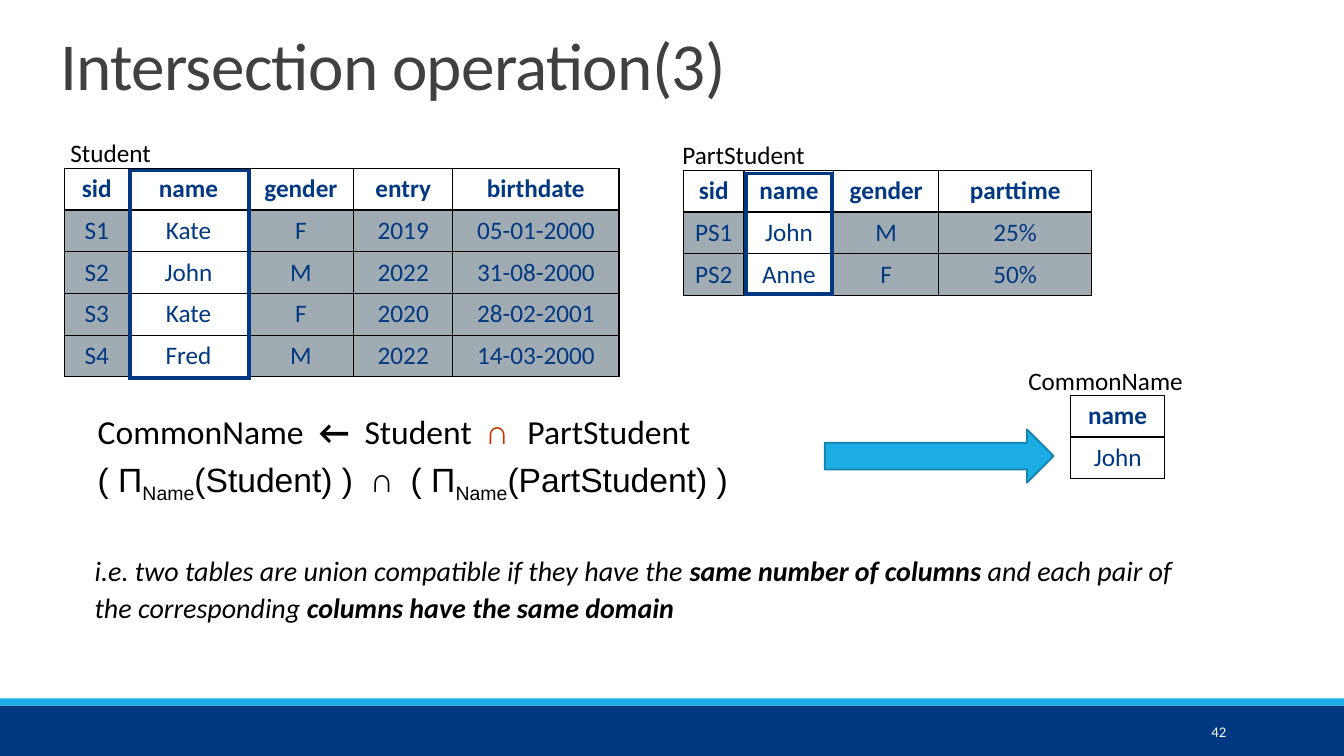
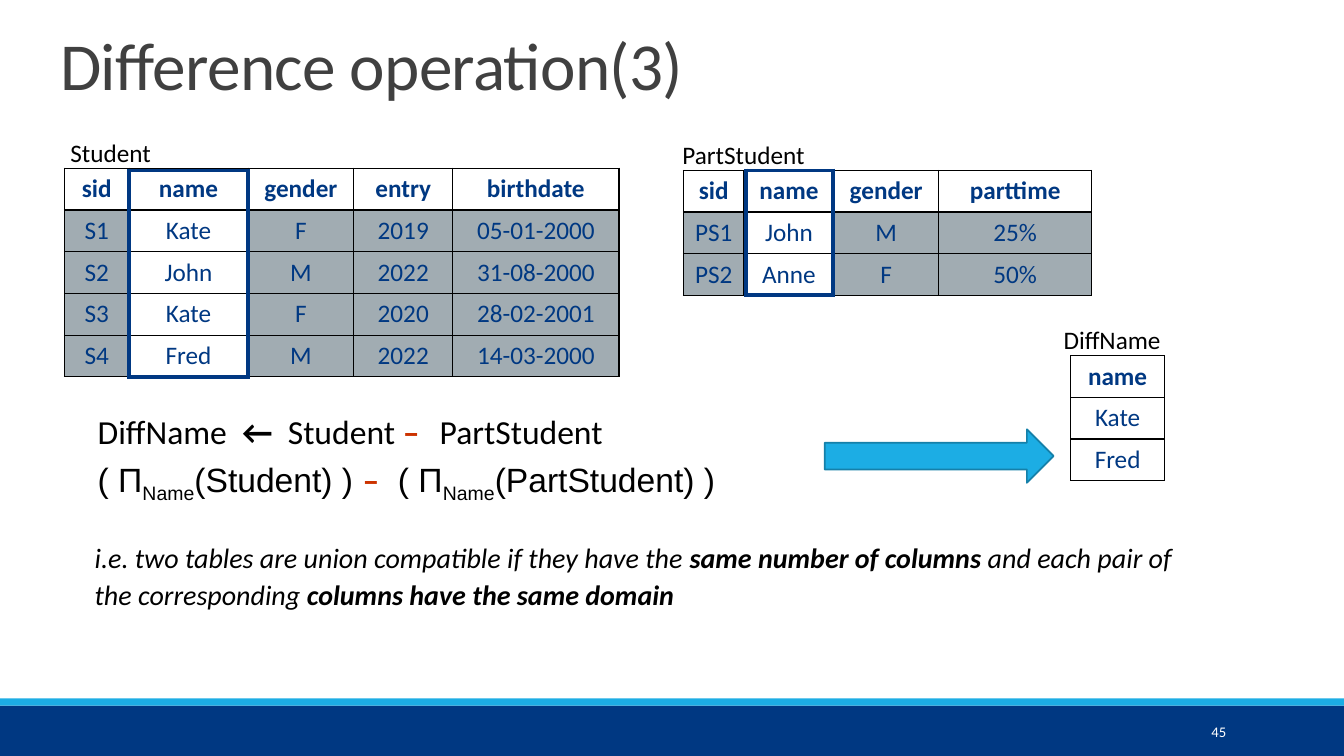
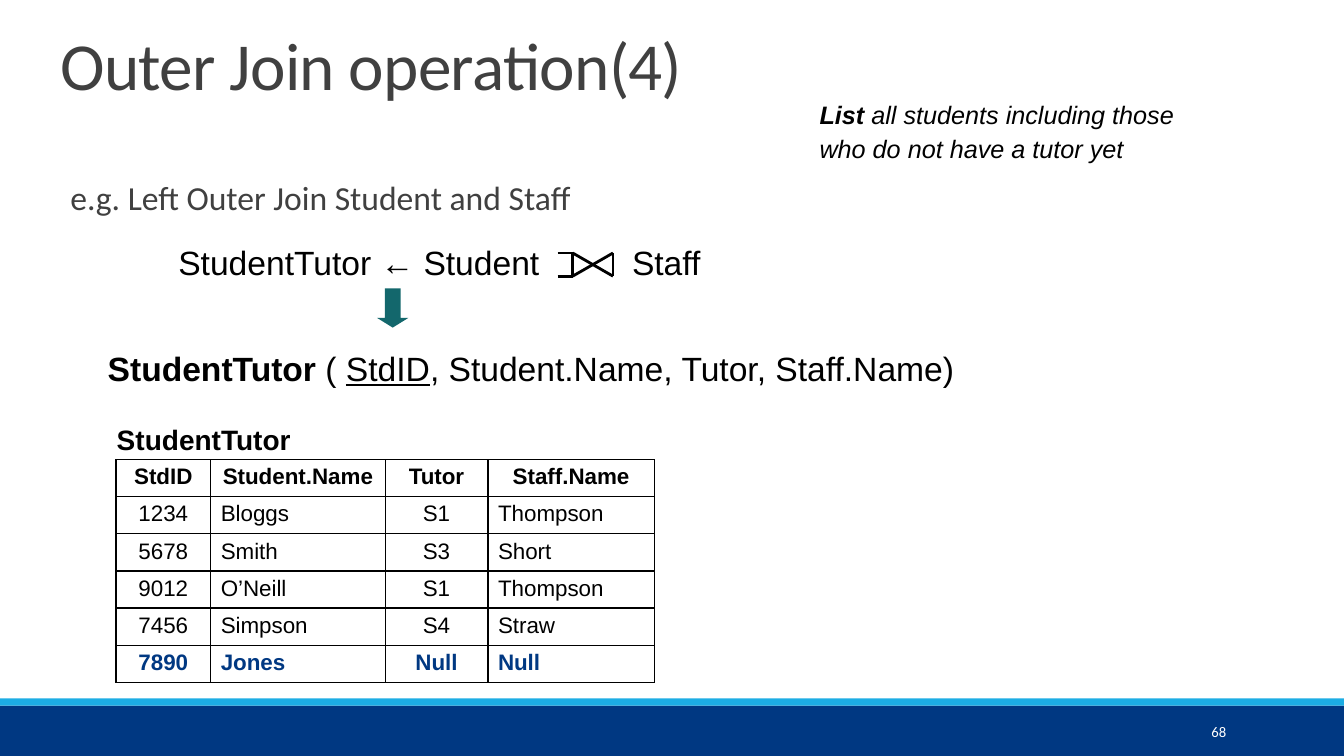
from dataclasses import dataclass

from lxml import etree
from pptx import Presentation
from pptx.dml.color import RGBColor
from pptx.enum.shapes import MSO_CONNECTOR, MSO_SHAPE
from pptx.enum.text import MSO_ANCHOR, MSO_AUTO_SIZE, PP_ALIGN
from pptx.oxml.ns import qn
from pptx.util import Emu, Pt

LEFT, CENTER, RIGHT = PP_ALIGN.LEFT, PP_ALIGN.CENTER, PP_ALIGN.RIGHT
TOP, MIDDLE = MSO_ANCHOR.TOP, MSO_ANCHOR.MIDDLE
RECTANGLE = MSO_SHAPE.RECTANGLE
RIGHT_ARROW, DOWN_ARROW = MSO_SHAPE.RIGHT_ARROW, MSO_SHAPE.DOWN_ARROW
STRAIGHT = MSO_CONNECTOR.STRAIGHT
FIT_TEXT = MSO_AUTO_SIZE.SHAPE_TO_FIT_TEXT

EMU_PER_PX = 9144  # 100 px to the inch


def px(length):
    return Emu(length * EMU_PER_PX)


@dataclass(frozen=True)
class Theme:
    navy: str = "003882"
    sky: str = "1CADE4"
    sky_edge: str = "1580A9"
    teal: str = "13676C"
    grey: str = "A1ACB2"
    slate: str = "404040"
    red: str = "CC3300"
    black: str = "000000"
    white: str = "FFFFFF"
    sans: str = "Calibri"
    formal: str = "Arial"
    symbol: str = "Courier New"
    title: int = 48
    formula: int = 24
    note: int = 20
    label: int = 18
    small: int = 16
    number: float = 10.5


THEME = Theme()
BOLD = {"bold": True}
SUBSCRIPT = {"baseline": -25000}


class Deck:
    """Holds the style and the current slide."""

    def __init__(self, width, height):
        self.width = width
        self.prs = Presentation()
        self.prs.slide_width, self.prs.slide_height = px(width), px(height)

    def new_slide(self, title, number):
        self.slide = self.prs.slides.add_slide(self.prs.slide_layouts[6])
        self.shape(RECTANGLE, 0, 700, self.width, 50, THEME.navy)
        self.shape(RECTANGLE, 0, 693, self.width, 7, THEME.sky)
        self.text(1083, 706, 143, 40, [(str(number), {})], THEME.number,
                  color=THEME.white, align=RIGHT, anchor=MIDDLE)
        self.text(50, 30, 1010, 125, [(title, {"spc": -50})], THEME.title,
                  color=THEME.slate, spacing=0.85)

    @staticmethod
    def style(font, size=None, face=None, color=None, bold=None, italic=None,
              underline=None):
        if size:
            font.size = Pt(size)
        if face:
            font.name = face
        if color:
            font.color.rgb = RGBColor.from_string(color)
        if bold is not None:
            font.bold = bold
        if italic is not None:
            font.italic = italic
        if underline is not None:
            font.underline = underline

    def text(self, left, top, width, height, runs, size, face=THEME.sans,
             color=THEME.black, bold=None, italic=None, align=LEFT, anchor=TOP,
             spacing=None, wrap=True, tab=None):
        """One paragraph; each run is (words, what differs from the paragraph)."""
        box = self.slide.shapes.add_textbox(px(left), px(top), px(width), px(height))
        frame = box.text_frame
        frame.word_wrap = wrap
        frame.vertical_anchor = anchor
        if not wrap:
            frame.auto_size = FIT_TEXT
        paragraph = frame.paragraphs[0]
        paragraph.alignment = align
        if spacing:
            paragraph.line_spacing = spacing
        if tab:
            stops = etree.SubElement(paragraph._p.get_or_add_pPr(), qn("a:tabLst"))
            etree.SubElement(stops, qn("a:tab"), pos=str(px(tab)), algn="l")
        self.style(paragraph.font, size, face, color, bold, italic)
        for words, changes in runs:
            run = paragraph.add_run()
            run.text = words
            changes = dict(changes)
            for attribute in ("baseline", "spc"):
                if attribute in changes:
                    run._r.get_or_add_rPr().set(attribute, str(changes.pop(attribute)))
            self.style(run.font, **changes)

    def shape(self, preset, left, top, width, height, fill, line=None,
              weight=1, adjustments=()):
        shape = self.slide.shapes.add_shape(
            preset, px(left), px(top), px(width), px(height))
        shape.shadow.inherit = False
        for index, value in enumerate(adjustments):
            shape.adjustments[index] = value
        shape.fill.solid()
        shape.fill.fore_color.rgb = RGBColor.from_string(fill)
        if line:
            shape.line.color.rgb = RGBColor.from_string(line)
            shape.line.width = Pt(weight)
        else:
            shape.line.fill.background()

    def line(self, x1, y1, x2, y2, weight=2):
        line = self.slide.shapes.add_connector(STRAIGHT, px(x1), px(y1), px(x2), px(y2))
        line.line.color.rgb = RGBColor.from_string(THEME.black)
        line.line.width = Pt(weight)
        etree.SubElement(line._element.spPr, qn("a:effectLst"))

    @staticmethod
    def borders(cell, color, weight):
        properties = cell._tc.get_or_add_tcPr()
        for side in ("a:lnL", "a:lnR", "a:lnT", "a:lnB"):
            edge = etree.SubElement(properties, qn(side), w=str(Pt(weight)))
            fill = etree.SubElement(edge, qn("a:solidFill"))
            etree.SubElement(fill, qn("a:srgbClr"), val=color)

    def table(self, left, top, widths, height, rows, size=THEME.label,
              face=THEME.sans, color=THEME.navy, clear_column="name",
              shade=THEME.grey, left_columns=(), marked_row=None, anchor=MIDDLE,
              border=THEME.black, weight=1):
        """The first row is the header; body cells are shaded off clear_column."""
        header = rows[0]
        grid = self.slide.shapes.add_table(
            len(rows), len(widths), px(left), px(top),
            px(sum(widths)), px(height)).table
        grid.first_row = grid.horz_banding = False
        for column, width in zip(grid.columns, widths):
            column.width = px(width)
        for r, row in enumerate(rows):
            grid.rows[r].height = Emu(px(height) // len(rows))
            for c, words in enumerate(row):
                cell = grid.cell(r, c)
                self.borders(cell, border, weight)
                if r and shade and header[c] != clear_column:
                    cell.fill.solid()
                    cell.fill.fore_color.rgb = RGBColor.from_string(shade)
                else:
                    cell.fill.background()
                cell.vertical_anchor = anchor
                cell.text = words
                paragraph = cell.text_frame.paragraphs[0]
                paragraph.alignment = LEFT if r and header[c] in left_columns else CENTER
                marked = r == marked_row
                self.style(paragraph.font, size, face,
                           THEME.navy if marked else color, bold=r == 0 or marked)


STUDENTS = [
    ("sid", "name", "gender", "entry", "birthdate"),
    ("S1", "Kate", "F", "2019", "05-01-2000"),
    ("S2", "John", "M", "2022", "31-08-2000"),
    ("S3", "Kate", "F", "2020", "28-02-2001"),
    ("S4", "Fred", "M", "2022", "14-03-2000"),
]
PART_STUDENTS = [
    ("sid", "name", "gender", "parttime"),
    ("PS1", "John", "M", "25%"),
    ("PS2", "Anne", "F", "50%"),
]
TUTORS = [
    ("StdID", "Student.Name", "Tutor", "Staff.Name"),
    ("1234", "Bloggs", "S1", "Thompson"),
    ("5678", "Smith", "S3", "Short"),
    ("9012", "O’Neill", "S1", "Thompson"),
    ("7456", "Simpson", "S4", "Straw"),
    ("7890", "Jones", "Null", "Null"),
]


def set_operation_slide(deck, title, number, result, result_names, result_box,
                        label_at, assignment, projection_operator, frames, note_top):
    deck.new_slide(title, number)

    # Operand and result tables
    deck.table(64, 167, (64, 118, 105, 98, 165), 207, STUDENTS)
    deck.table(678, 169, (60, 89, 104, 152), 124, PART_STUDENTS)
    left, top, width, height = result_box
    deck.table(left, top, (width,), height,
               [("name",)] + [(name,) for name in result_names])
    for name, (left, top, width) in (("Student", (60, 131, 101)),
                                     ("PartStudent", (667, 133, 143)),
                                     (result, label_at)):
        deck.text(left, top, width, 40, [(name, {})], THEME.label, wrap=False)

    # Algebra expressions
    deck.text(87, 403, 731, 50,
              [(result + "  ", {}), ("←  ", BOLD), *assignment, ("PartStudent", {})],
              THEME.formula)
    deck.text(87, 450, 731, 50,
              [("( Π", {}), ("Name", SUBSCRIPT), *projection_operator,
               ("  ( Π", {}), ("Name", SUBSCRIPT), ("(PartStudent) )", {})],
              THEME.formula, face=THEME.formal)
    deck.shape(RIGHT_ARROW, 818, 426, 227, 53, THEME.sky, THEME.sky_edge, 1.25)

    # Frames around the projected columns
    for left, top, width, height in frames:
        deck.table(left, top, (width,), height, [("",)], border=THEME.navy, weight=3)

    # Compatibility rule
    deck.text(84, note_top, 1128, 125,
              [("i.e. two tables are union compatible if they have the ", {}),
               ("same number of columns ", BOLD),
               ("and each pair of the corresponding ", {}),
               ("columns have the same domain", BOLD)],
              THEME.note, italic=True, spacing=1.1)


def outer_join_slide(deck):
    deck.new_slide("Outer Join operation(4)", 68)
    deck.text(60, 175, 890, 50, [("e.g. Left Outer Join Student and Staff", {})],
              THEME.formula, color=THEME.slate, spacing=0.9)

    # Left outer join symbol
    stub, left, right, top, bottom = 553, 568, 608, 251, 274
    for ends in ((left, top, left, bottom), (right, top, right, bottom),
                 (left, top, right, bottom), (right, top, left, bottom),
                 (stub, bottom, left, bottom), (stub, top, left, top)):
        deck.line(*ends)

    # Expression and resulting schema
    deck.text(167, 235, 539, 50, [("StudentTutor ← Student\tStaff", {})],
              THEME.formula, face=THEME.formal, tab=450)
    deck.text(97, 340, 867, 50,
              [("StudentTutor", BOLD), (" ( ", {}), ("StdID", {"underline": True}),
               (", Student.Name, Tutor, Staff.Name)", {})],
              THEME.formula, face=THEME.formal, wrap=False)
    deck.shape(DOWN_ARROW, 374, 286, 31, 39, THEME.teal, adjustments=(0.5, 0.31))

    # Result table
    deck.text(106, 414, 194, 44, [("StudentTutor", {})], THEME.note,
              face=THEME.formal, bold=True, wrap=False)
    deck.table(115, 456, (94, 173, 102, 165), 221, TUTORS, THEME.small, THEME.formal,
               THEME.black, shade=None, left_columns=("Student.Name", "Staff.Name"),
               marked_row=5, anchor=TOP)

    # Query in words
    deck.text(803, 91, 396, 74,
              [("List", BOLD),
               (" all students including those who do not have a tutor yet", {})],
              THEME.label, face=THEME.formal, italic=True, spacing=1.1)


def main():
    deck = Deck(1333, 750)
    red_bold = {"color": THEME.red, "bold": True}
    set_operation_slide(
        deck, "Intersection operation(3)", 42, "CommonName", ["John"],
        result_box=(1062, 392, 93, 83), label_at=(1010, 358, 175),
        assignment=[("Student  ", {}), ("∩ ", {"face": THEME.symbol, **red_bold})],
        projection_operator=[("(Student) )  ", {}),
                             ("∩", {"face": THEME.symbol, "bold": True})],
        frames=[(129, 169, 118, 206), (740, 172, 85, 120)], note_top=541)
    set_operation_slide(
        deck, "Difference operation(3)", 45, "DiffName", ["Kate", "Fred"],
        result_box=(1062, 353, 93, 124), label_at=(1045, 317, 118),
        assignment=[("Student ", {}), ("–", red_bold), (" ", {"face": THEME.symbol})],
        projection_operator=[("(Student) ) ", {}),
                             ("–", {"face": THEME.sans, **red_bold})],
        frames=[(128, 169, 118, 205), (740, 169, 86, 124)], note_top=528)
    outer_join_slide(deck)
    deck.prs.save("out.pptx")


if __name__ == "__main__":
    main()
